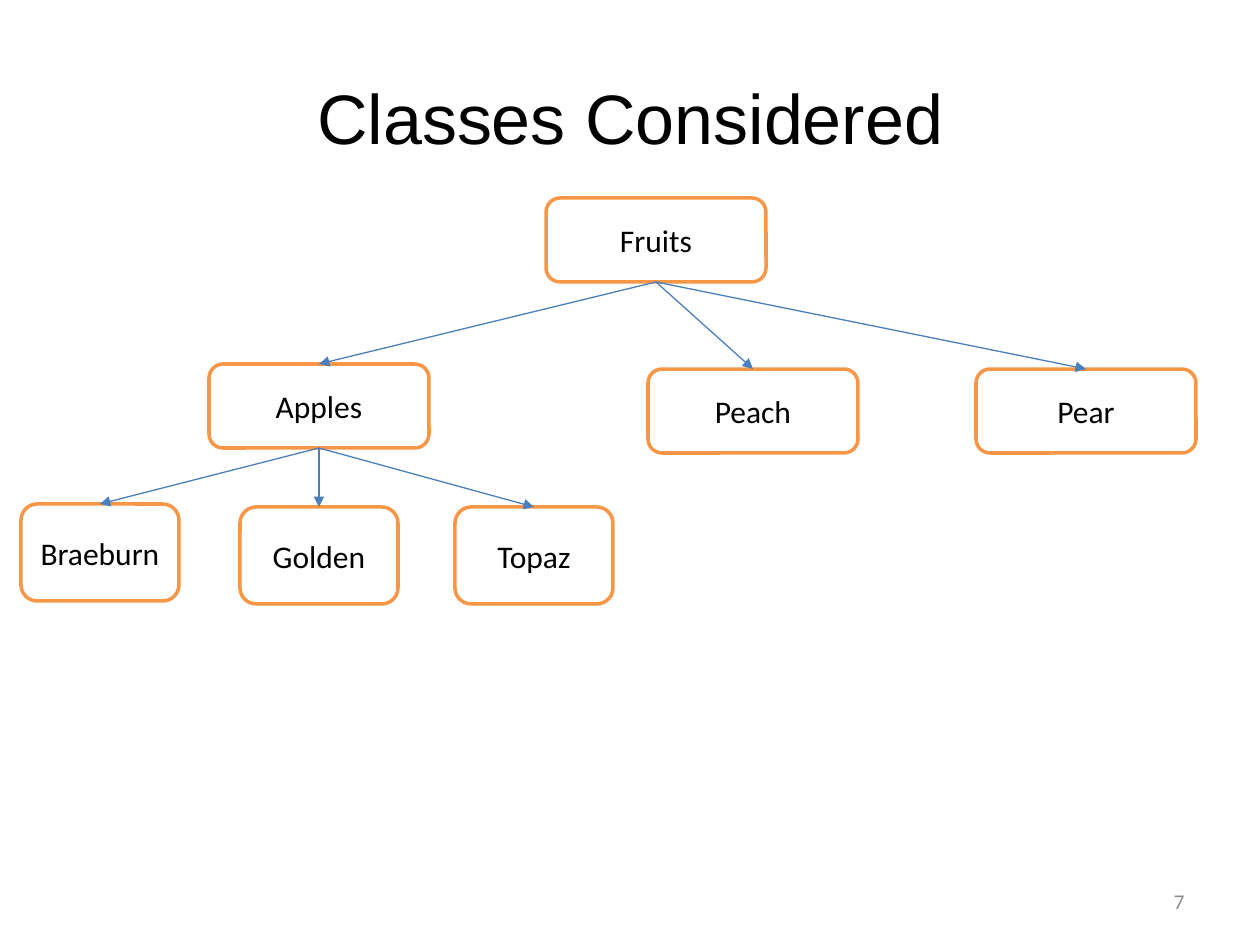
from lxml import etree
from pptx import Presentation
from pptx.dml.color import RGBColor
from pptx.enum.shapes import MSO_CONNECTOR, MSO_SHAPE
from pptx.enum.text import MSO_ANCHOR, PP_ALIGN
from pptx.oxml.ns import qn
from pptx.util import Pt

PX = 914400 / 126
WIDTH, HEIGHT = 1260, 945

BLACK = RGBColor(0x00, 0x00, 0x00)
WHITE = RGBColor(0xFF, 0xFF, 0xFF)
GRAY = RGBColor(0x8C, 0x8C, 0x8C)
ORANGE = RGBColor(0xF7, 0x96, 0x46)
BLUE = RGBColor(0x4B, 0x7E, 0xBC)

ROUNDED = MSO_SHAPE.ROUNDED_RECTANGLE
STRAIGHT = MSO_CONNECTOR.STRAIGHT
MIDDLE = MSO_ANCHOR.MIDDLE
CENTER, RIGHT = PP_ALIGN.CENTER, PP_ALIGN.RIGHT
TOP_SITE, BOTTOM_SITE = 0, 2

# Class name: left, top, width, height in px, relative to the tree
CLASSES = {
    "Fruits": (525, 0, 220, 84),
    "Apples": (188, 166, 220, 84),
    "Peach": (627, 171, 210, 84),
    "Pear": (955, 171, 220, 84),
    "Braeburn": (0, 306, 158, 97),
    "Golden": (219, 309, 158, 97),
    "Topaz": (434, 309, 158, 97),
}
SUBCLASSES = {
    "Fruits": ("Apples", "Peach", "Pear"),
    "Apples": ("Braeburn", "Golden", "Topaz"),
}


def emu(*lengths):
    return [round(length * PX) for length in lengths]


def set_text(shape, text, size, font_name, color, alignment):
    frame = shape.text_frame
    frame.word_wrap = True
    frame.vertical_anchor = MIDDLE
    paragraph = frame.paragraphs[0]
    paragraph.text = text
    paragraph.alignment = alignment
    font = paragraph.font
    font.size, font.name = Pt(size), font_name
    font.color.rgb = color


def add_title(slide, box):
    title = slide.shapes.add_textbox(*emu(*box))
    set_text(title, "Classes Considered", 40, "Arial", BLACK, CENTER)


def add_slide_number(slide, box):
    number = slide.shapes.add_textbox(*emu(*box))
    set_text(number, "7", 12, "Calibri", GRAY, RIGHT)


def add_class(slide, name, box):
    shape = slide.shapes.add_shape(ROUNDED, *emu(*box))
    shape.shadow.inherit = False
    shape.fill.solid()
    shape.fill.fore_color.rgb = WHITE
    shape.line.color.rgb = ORANGE
    shape.line.width = Pt(2)
    set_text(shape, name, 18, "Calibri", BLACK, CENTER)
    return shape


def add_arrow(slide, parent, child):
    """Join the parent's bottom to the child's top."""
    arrow = slide.shapes.add_connector(STRAIGHT, 0, 0, 0, 0)
    arrow.begin_connect(parent, BOTTOM_SITE)
    arrow.end_connect(child, TOP_SITE)
    arrow.line.color.rgb = BLUE
    arrow.line.width = Pt(0.75)
    properties = arrow.element.spPr
    etree.SubElement(properties.find(qn("a:ln")), qn("a:tailEnd"), type="triangle")
    etree.SubElement(properties, qn("a:effectLst"))


def add_class_tree(slide, left, top):
    nodes = {
        name: add_class(slide, name, (left + x, top + y, width, height))
        for name, (x, y, width, height) in CLASSES.items()
    }
    for parent, children in SUBCLASSES.items():
        for child in children:
            add_arrow(slide, nodes[parent], nodes[child])


def main():
    presentation = Presentation()
    presentation.slide_width, presentation.slide_height = emu(WIDTH, HEIGHT)
    slide = presentation.slides.add_slide(presentation.slide_layouts[6])
    add_title(slide, (63, 38, 1134, 158))
    add_slide_number(slide, (903, 876, 294, 50))
    add_class_tree(slide, 21, 198)
    presentation.save("out.pptx")


if __name__ == "__main__":
    main()
